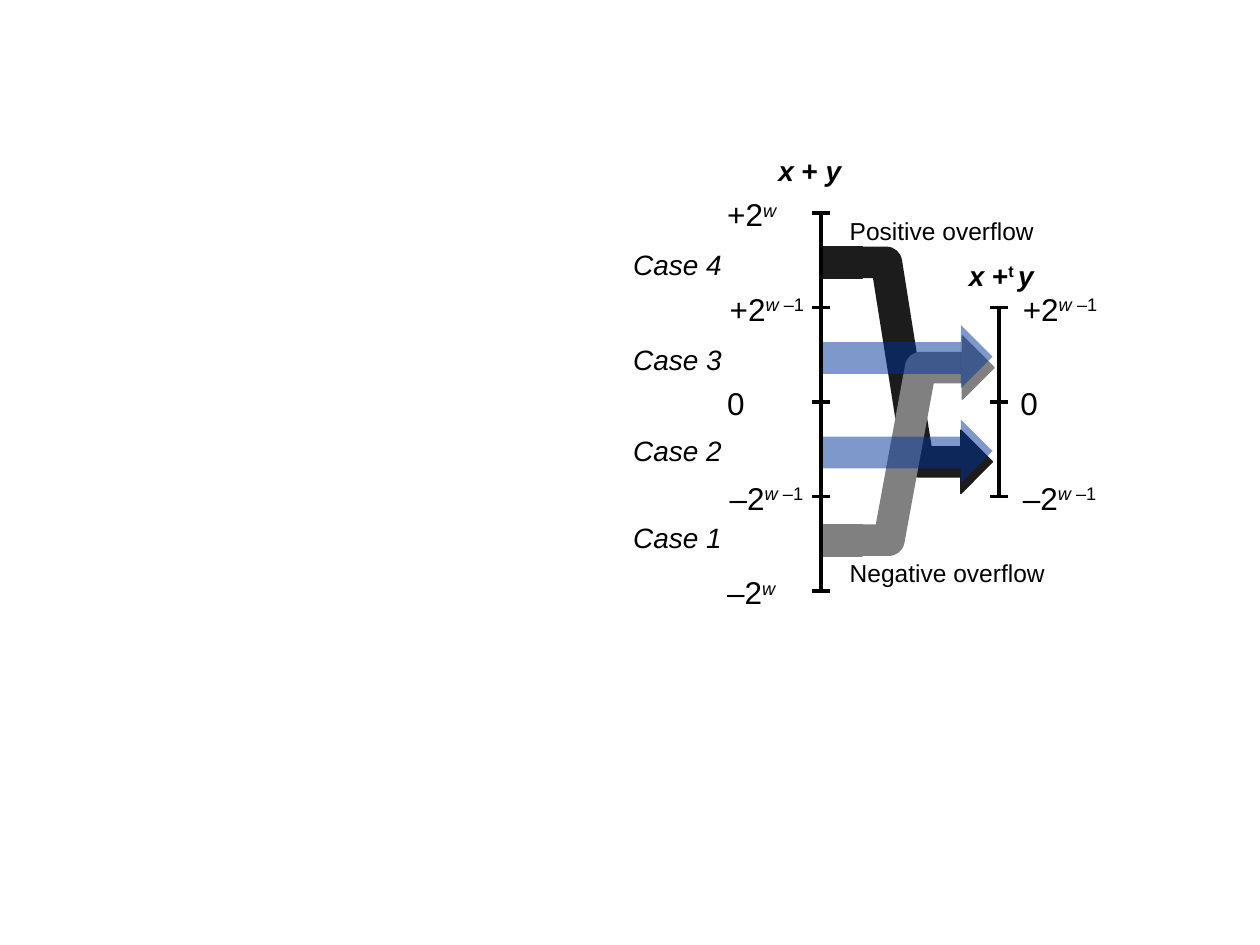
from dataclasses import dataclass

from lxml import etree
from pptx import Presentation
from pptx import util as u
from pptx.dml.color import RGBColor
from pptx.enum import shapes, text
from pptx.oxml.ns import qn


@dataclass(frozen=True)
class Theme:
    font: str = "Arial"
    ink: str = "000000"
    dark: str = "1C1C1C"
    grey: str = "808080"
    blue: str = "003399"
    tick: int = 18
    name: int = 16
    note: int = 14
    rule: int = 2
    pipe: int = 18


THEME = Theme()
STEP = 7.62 / 4
HALF = 0.32
LEFT = text.PP_ALIGN.LEFT
RIGHT = text.PP_ALIGN.RIGHT
LEVELS = [
    [("+2", ""), ("w", "i^")],
    [("+2", ""), ("w ", "i^"), ("–1", "^")],
    [("0", "")],
    [("–2", ""), ("w ", "i^"), ("–1", "^")],
    [("–2", ""), ("w", "i^")],
]
WIDTHS = {1: 0.86, 2: 1.5, 3: 2.05}


def paint(shape, color, alpha=None):
    shape.shadow.inherit = False
    shape.fill.solid()
    shape.fill.fore_color.rgb = RGBColor.from_string(color)
    if alpha is None:
        shape.line.color.rgb = RGBColor.from_string(color)
        shape.line.width = u.Pt(0.75)
    else:
        tint = shape._element.spPr.find(f"{qn('a:solidFill')}/{qn('a:srgbClr')}")
        etree.SubElement(tint, qn("a:alpha"), val=str(alpha * 1000))
        shape.line.fill.background()


def trace(slide, box, points, close):
    first, *rest = [(u.Cm(box[0] + x), u.Cm(box[1] + y)) for x, y in points]
    build = slide.shapes.build_freeform(*first)
    build.add_line_segments(rest, close=close)
    return build.convert_to_shape()


def bar(slide, box, mid, width, color, alpha=None):
    shape = slide.shapes.add_shape(
        shapes.MSO_SHAPE.RECTANGLE, u.Cm(box[0]), u.Cm(box[1] + mid - HALF),
        u.Cm(width), u.Cm(2 * HALF))
    paint(shape, color, alpha)


def head(slide, box, x, mid, color, alpha=None):
    tip = [(x, mid - 2 * HALF), (x, mid + 2 * HALF), (x + 2 * HALF, mid)]
    paint(trace(slide, box, tip, True), color, alpha)


def pipe(slide, box, points, color):
    bar(slide, box, points[0][1], 0.83, color)
    tube = trace(slide, box, points, False)
    tube.shadow.inherit = False
    tube.fill.background()
    tube.line.color.rgb = RGBColor.from_string(color)
    tube.line.width = u.Pt(THEME.pipe)
    etree.SubElement(tube.line._ln, qn("a:round"))
    x, mid = points[-1]
    head(slide, box, x - 0.1, mid, color)


def beam(slide, box, mid):
    bar(slide, box, mid, 2.82, THEME.blue, 50)
    head(slide, box, 2.82, mid - 0.03, THEME.blue, 50)


def rule(slide, box, x1, y1, x2, y2):
    line = slide.shapes.add_connector(
        shapes.MSO_CONNECTOR.STRAIGHT, u.Cm(box[0] + x1), u.Cm(box[1] + y1),
        u.Cm(box[0] + x2), u.Cm(box[1] + y2))
    line.line.color.rgb = RGBColor.from_string(THEME.ink)
    line.line.width = u.Pt(THEME.rule)
    etree.SubElement(line._element.spPr, qn("a:effectLst"))


def label(slide, box, x, y, width, height, runs, size,
          bold=None, italic=None, align=LEFT):
    frame = slide.shapes.add_textbox(
        u.Cm(box[0] + x), u.Cm(box[1] + y), u.Cm(width), u.Cm(height)).text_frame
    frame.word_wrap = False
    frame.auto_size = text.MSO_AUTO_SIZE.SHAPE_TO_FIT_TEXT
    para = frame.paragraphs[0]
    para.alignment = align
    font = para.font
    font.name, font.size = THEME.font, u.Pt(size)
    font.bold, font.italic = bold, italic
    font.color.rgb = RGBColor.from_string(THEME.ink)
    for words, style in runs:
        run = para.add_run()
        run.text = words
        if "i" in style:
            run.font.italic = True
        if "^" in style:
            run._r.get_or_add_rPr().set("baseline", "30000")


def axis(slide, box, levels, shift):
    span = STEP * (len(levels) - 1) / 2
    for part in range(2):
        rule(slide, box, 0, part * span + 0.03, 0, (part + 1) * span - 0.03)
    for row, runs in enumerate(levels):
        y = row * STEP
        rule(slide, box, -0.18, y, 0.18, y)
        nudge = 0.05 if len(runs) == 3 else 0
        label(slide, box, shift + nudge, y - 0.48, WIDTHS[len(runs)], 1.02,
              runs, THEME.tick)


def flows(slide, box):
    pipe(slide, box, [(0.28, 1), (1.32, 1), (1.96, 5.02), (2.92, 5.02)],
         THEME.dark)
    pipe(slide, box, [(0.3, 6.6), (1.37, 6.6), (2.01, 3.12), (2.95, 3.12)],
         THEME.grey)
    for mid in (2.93, 2.93 + STEP):
        beam(slide, box, mid)
    label(slide, box, 0.33, -0.05, 4.22, 0.84,
          [("Positive overflow", "")], THEME.note)
    label(slide, box, 0.33, 6.83, 4.45, 0.84,
          [("Negative overflow", "")], THEME.note)


def cases(slide, box):
    for num, y in zip((4, 3, 2, 1), (0.58, 2.49, 4.32, 6.07)):
        label(slide, box, 0, y, 2.29, 0.91, [(f"Case {num}", "")],
              THEME.name, italic=True, align=RIGHT)


def chart(slide, box):
    left, top = box
    far = (left + 3.59, top + STEP)
    flows(slide, box)
    axis(slide, box, LEVELS, -2.14)
    axis(slide, far, LEVELS[1:4], 0.18)
    cases(slide, (left - 4.04, top))
    label(slide, box, -1.11, -1.32, 1.78, 0.91,
          [("x", "i"), (" + ", ""), ("y", "i")], THEME.name, bold=True)
    label(slide, far, -0.86, -1.11, 1.88, 0.91,
          [("x", "i"), (" +", ""), ("t ", "^"), ("y", "i")],
          THEME.name, bold=True)


def main():
    deck = Presentation()
    deck.slide_width, deck.slide_height = u.Cm(25.4), u.Cm(19.05)
    slide = deck.slides.add_slide(deck.slide_layouts[6])
    chart(slide, (16.55, 4.29))
    deck.save("out.pptx")


if __name__ == "__main__":
    main()
